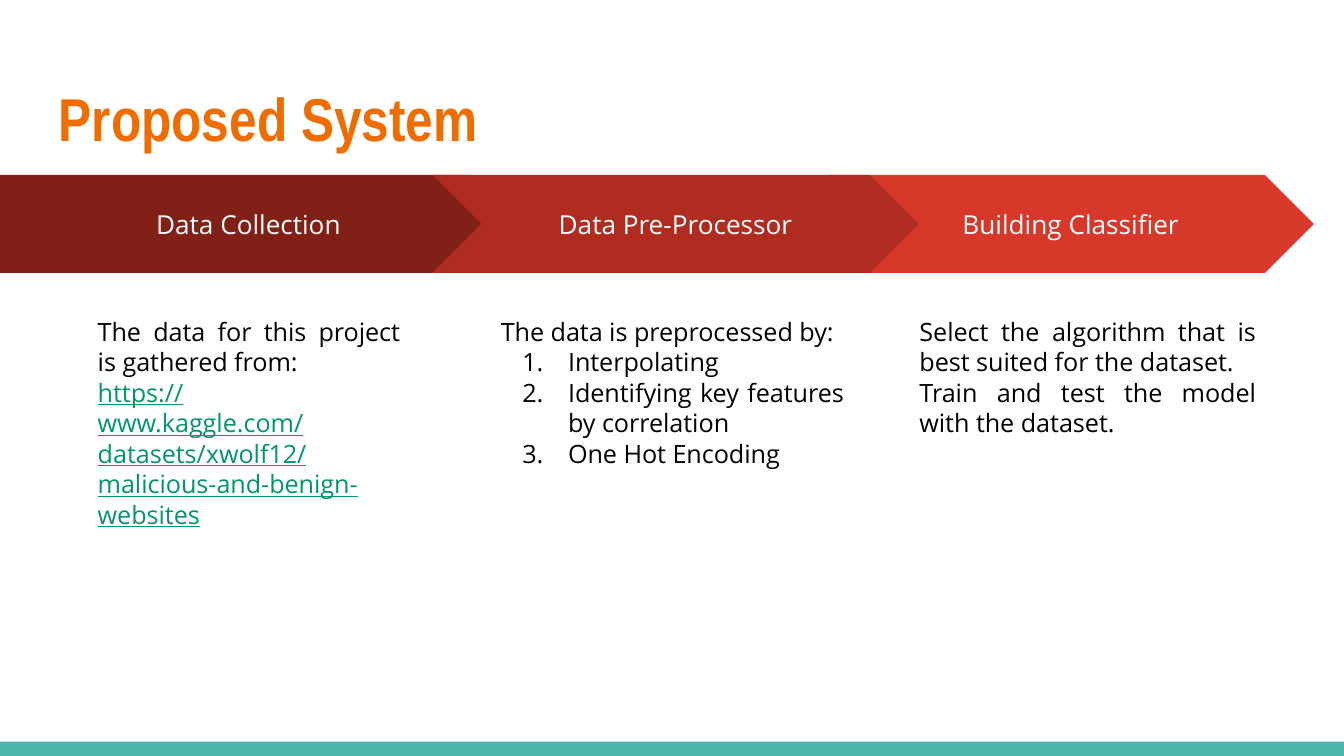
from lxml import etree
from pptx import Presentation
from pptx.dml.color import RGBColor
from pptx.enum.shapes import MSO_SHAPE
from pptx.enum.text import MSO_ANCHOR, PP_ALIGN
from pptx.oxml.ns import qn
from pptx.util import Pt

RECTANGLE = MSO_SHAPE.RECTANGLE
PENTAGON = MSO_SHAPE.PENTAGON
CHEVRON = MSO_SHAPE.CHEVRON
MIDDLE = MSO_ANCHOR.MIDDLE
CENTER = PP_ALIGN.CENTER
JUSTIFY = PP_ALIGN.JUSTIFY

WHITE = RGBColor(0xFF, 0xFF, 0xFF)
BLACK = RGBColor(0x00, 0x00, 0x00)
ORANGE = RGBColor(0xEF, 0x6C, 0x00)
TEAL = RGBColor(0x4D, 0xB6, 0xAC)
GREEN = RGBColor(0x00, 0x96, 0x68)
DARK_RED = RGBColor(0x80, 0x20, 0x17)
MID_RED = RGBColor(0xB0, 0x2C, 0x20)
BRIGHT_RED = RGBColor(0xD8, 0x38, 0x29)

INSET = 7.2
ARROW_TOP, ARROW_HEIGHT = 93.75, 52.5
BODY_TOP, BODY_HEIGHT = 162, 206


class ProcessSlide:
    heading_font = "Arial Narrow"
    body_font = "Open Sans"

    def __init__(self, slide):
        self.slide = slide

    def shape(self, kind, left, top, width, height, color):
        shape = self.slide.shapes.add_shape(
            kind, Pt(left), Pt(top), Pt(width), Pt(height))
        shape.shadow.inherit = False
        shape.fill.solid()
        shape.fill.fore_color.rgb = color
        shape.line.fill.background()
        return shape

    def frame(self, shape):
        frame = shape.text_frame
        frame.word_wrap = True
        frame.margin_left = frame.margin_right = Pt(INSET)
        frame.margin_top = frame.margin_bottom = Pt(INSET)
        return frame

    def text_box(self, left, top, width, height):
        return self.frame(self.slide.shapes.add_textbox(
            Pt(left), Pt(top), Pt(width), Pt(height)))

    def set_text(self, paragraph, text, font, size, color):
        paragraph.text = text
        paragraph.font.name = font
        paragraph.font.size = Pt(size)
        paragraph.font.color.rgb = color

    def title(self, text):
        frame = self.text_box(24.5, 35.3, 671, 55.4)
        frame.vertical_anchor = MIDDLE
        heading = frame.paragraphs[0]
        self.set_text(heading, text, self.heading_font, 32.4, ORANGE)
        heading.font.bold = True

    def arrow(self, kind, left, width, color, label):
        arrow = self.shape(kind, left, ARROW_TOP, width, ARROW_HEIGHT, color)
        arrow.adjustments[0] = 0.5
        frame = self.frame(arrow)
        frame.vertical_anchor = MIDDLE
        frame.paragraphs[0].alignment = CENTER
        self.set_text(frame.paragraphs[0], label, self.body_font, 14, WHITE)

    def number(self, paragraph):
        properties = paragraph._p.get_or_add_pPr()
        properties.set("marL", str(Pt(36)))
        properties.set("indent", str(Pt(-24.5)))
        numbering = etree.SubElement(properties, qn("a:buAutoNum"))
        numbering.set("type", "arabicPeriod")

    def body(self, left, width, lines):
        frame = self.text_box(left, BODY_TOP, width, BODY_HEIGHT)
        for index, (style, text) in enumerate(lines):
            paragraph = frame.add_paragraph() if index else frame.paragraphs[0]
            paragraph.alignment = JUSTIFY
            paragraph.line_spacing = 1.01
            if style == "step":
                self.number(paragraph)
            is_link = style == "link"
            self.set_text(paragraph, text, self.body_font, 13.5,
                          GREEN if is_link else BLACK)
            if is_link:
                paragraph.font.underline = True


def main():
    deck = Presentation()
    deck.slide_width, deck.slide_height = Pt(720), Pt(405)
    page = ProcessSlide(deck.slides.add_slide(deck.slide_layouts[6]))

    page.shape(RECTANGLE, 0, 397.3, 720, 7.7, TEAL)
    page.title("Proposed System")

    stages = [
        (CHEVRON, 443.4, 260.5, BRIGHT_RED, "Building Classifier", 485.5, 194.5, [
            ("plain", "Select the algorithm that is best suited for the dataset."),
            ("plain", "Train and test the model with the dataset."),
        ]),
        (PENTAGON, 0, 279.5, DARK_RED, "Data Collection", 45.3, 176.2, [
            ("plain", "The data for this project is gathered from:"),
            ("link", "https://www.kaggle.com/datasets/xwolf12/malicious-and-benign-websites"),
        ]),
        (CHEVRON, 231.7, 260.5, MID_RED, "Data Pre-Processor", 261.2, 198, [
            ("plain", "The data is preprocessed by:"),
            ("step", "Interpolating"),
            ("step", "Identifying key features by correlation"),
            ("step", "One Hot Encoding"),
        ]),
    ]
    for kind, left, width, color, label, body_left, body_width, lines in stages:
        page.arrow(kind, left, width, color, label)
        page.body(body_left, body_width, lines)

    deck.save("out.pptx")


if __name__ == "__main__":
    main()
